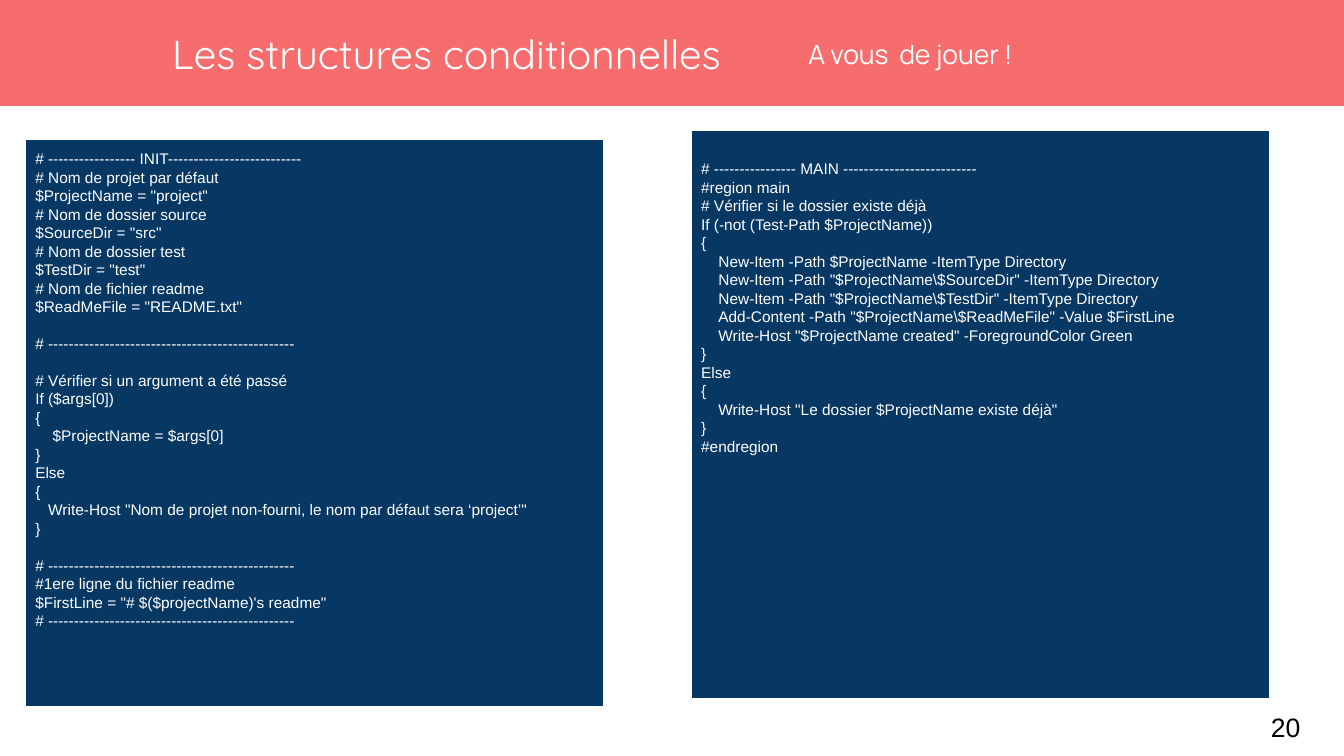
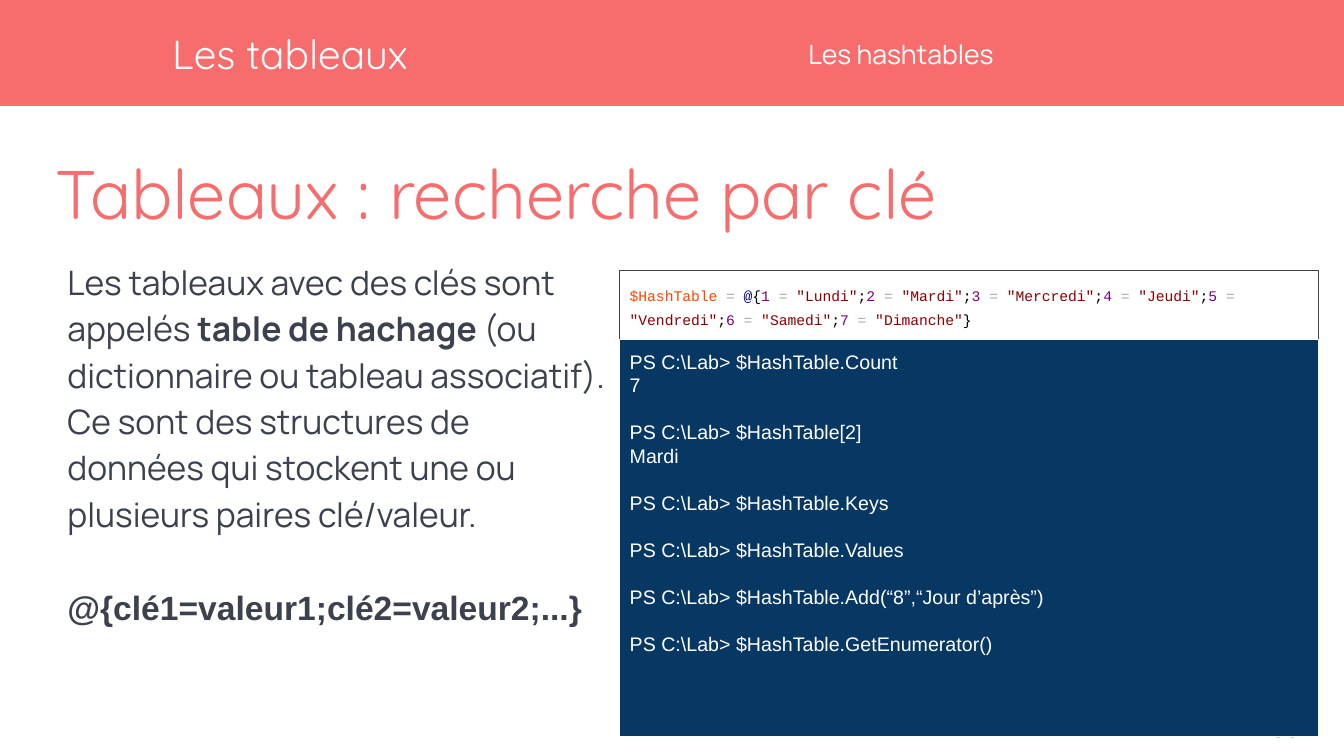
from dataclasses import dataclass
from pptx import Presentation
from pptx.dml.color import RGBColor
from pptx.enum.shapes import MSO_SHAPE
from pptx.enum.text import MSO_ANCHOR, PP_ALIGN
from pptx.util import Cm, Pt


@dataclass(frozen=True)
class Theme:
    coral: str = "F76C6C"
    navy: str = "073763"
    white: str = "FFFFFF"
    black: str = "000000"
    slate: str = "3B424E"
    border: str = "424242"
    variable: str = "FF4500"
    operator: str = "A9A9A9"
    at_sign: str = "00008B"
    number: str = "800080"
    string: str = "8B0000"
    title_font: str = "Quicksand"
    body_font: str = "Manrope"
    code_font: str = "Arial"
    mono_font: str = "Courier New"
    title: float = 29
    subtitle: float = 19
    heading: float = 49
    body: float = 24
    script: float = 11
    console: float = 14
    mono: float = 10.5
    leading: float = 1.2


T = Theme()


def add_box(s, place, fill=None, line=None, inset=0, anchor=MSO_ANCHOR.TOP):
    place = [Cm(v) for v in place]
    if fill:
        sp = s.shapes.add_shape(MSO_SHAPE.RECTANGLE, *place)
        sp.shadow.inherit = False
        sp.fill.solid()
        sp.fill.fore_color.rgb = RGBColor.from_string(fill)
        if line:
            sp.line.color.rgb = RGBColor.from_string(line)
            sp.line.width = Pt(0.75)
        else:
            sp.line.fill.background()
    else:
        sp = s.shapes.add_textbox(*place)
    tf = sp.text_frame
    tf.word_wrap = True
    tf.vertical_anchor = anchor
    tf.margin_left = tf.margin_right = tf.margin_top = tf.margin_bottom = Cm(inset)
    return tf


def add_par(tf, runs, size, font, color, spacing=None, before=0, indent=0):
    p = tf.paragraphs[0]
    if p.runs:
        p = tf.add_paragraph()
    p.alignment = PP_ALIGN.LEFT
    if spacing:
        p.line_spacing = Pt(size * T.leading * spacing)
    if before:
        p.space_before = Pt(before)
    if indent:
        p._p.get_or_add_pPr().set("marL", str(Pt(indent)))
    for text, style in runs:
        r = p.add_run()
        r.text = text
        r.font.size = Pt(size)
        r.font.name = style.get("font", font)
        r.font.bold = style.get("bold", False)
        r.font.color.rgb = RGBColor.from_string(style.get("color", color))


prs = Presentation()
prs.slide_width, prs.slide_height = Cm(33.87), Cm(19.05)

slides = []
for title, subtitle, number in [
    ("Les structures conditionnelles", "A vous  de jouer !", "20"),
    ("Les tableaux", "Les hashtables", "39"),
]:
    s = prs.slides.add_slide(prs.slide_layouts[6])
    slides.append(s)
    add_box(s, (-0.05, 0, 34.01, 2.67), T.coral)
    for text, place, size, font, color, inset in [
        (subtitle, (20.37, 0.71, 13, 1.32), T.subtitle, T.body_font, T.white, 0),
        (title, (4.34, 0, 15.88, 2.67), T.title, T.title_font, T.white, 0),
        (number, (31.7, 17.6, 2.03, 1.45), T.subtitle, T.code_font, T.black, 0.33),
    ]:
        tf = add_box(s, place, inset=inset, anchor=MSO_ANCHOR.MIDDLE)
        add_par(tf, [(text, {})], size, font, color)

conditions, tables = slides

tf = add_box(tables, (1.4, 3.81, 31.37, 1.96))
add_par(tf, [("Tableaux : recherche par clé", {})], T.heading, T.title_font, T.coral)

tf = add_box(tables, (1.7, 6.45, 13.72, 11.71))
for runs, gap in [
    ([("Les tableaux avec des clés sont appelés ", {}),
      ("table de hachage", {"bold": True}),
      (" (ou dictionnaire ou tableau associatif).", {})], 0),
    ([("Ce sont des structures de données qui stockent une ou plusieurs paires clé/valeur.", {})], 0),
    ([("@{clé1=valeur1;clé2=valeur2;...}", {"bold": True, "font": T.code_font})], 33.12),
]:
    add_par(tf, runs, T.body, T.body_font, T.slate, spacing=1.15, before=gap)

days = ["Lundi", "Mardi", "Mercredi", "Jeudi", "Vendredi", "Samedi", "Dimanche"]
equals = [(" ", {}), ("=", {"color": T.operator}), (" ", {})]
runs = [("$HashTable", {"color": T.variable}), *equals,
        ("@", {"color": T.at_sign}), ("{", {"color": T.black})]
for i, day in enumerate(days, 1):
    runs += [(str(i), {"color": T.number}), *equals,
             (f'"{day}"', {"color": T.string}),
             ("}" if i == len(days) else ";", {"color": T.black})]
tf = add_box(tables, (15.62, 6.81, 17.6, 1.75), T.white, T.border, 0.25)
add_par(tf, runs, T.mono, T.mono_font, T.black, spacing=1.36)

rule = "# " + "-" * 48

init_blocks = [
    ["# ----------------- INIT--------------------------",
     "# Nom de projet par défaut",
     '$ProjectName = "project"',
     "# Nom de dossier source",
     '$SourceDir = "src"',
     "# Nom de dossier test",
     '$TestDir = "test"',
     "# Nom de fichier readme",
     '$ReadMeFile = "README.txt"'],
    [rule],
    ["# Vérifier si un argument a été passé",
     "If ($args[0])",
     "{",
     (4, "$ProjectName = $args[0]"),
     "}",
     "Else",
     "{",
     (3, 'Write-Host "Nom de projet non-fourni, le nom par défaut sera ‘project’"'),
     "}"],
    [rule,
     "#1ere ligne du fichier readme",
     '$FirstLine = "# $($projectName)\'s readme"',
     rule],
]

main_blocks = [
    ["# ---------------- MAIN --------------------------",
     "#region main",
     "# Vérifier si le dossier existe déjà",
     "If (-not (Test-Path $ProjectName))",
     "{",
     (4, "New-Item -Path $ProjectName -ItemType Directory"),
     (4, 'New-Item -Path "$ProjectName\\$SourceDir" -ItemType Directory'),
     (4, 'New-Item -Path "$ProjectName\\$TestDir" -ItemType Directory'),
     (4, 'Add-Content -Path "$ProjectName\\$ReadMeFile" -Value $FirstLine'),
     (4, 'Write-Host "$ProjectName created" -ForegroundColor Green'),
     "}",
     "Else",
     "{",
     (4, 'Write-Host "Le dossier $ProjectName existe déjà"'),
     "}",
     "#endregion"],
]

prompt = "PS C:\\Lab> $HashTable"
console_blocks = [
    [prompt + ".Count", "7"],
    [prompt + "[2]", "Mardi"],
    [prompt + ".Keys"],
    [prompt + ".Values"],
    [prompt + ".Add(“8”,“Jour d’après”)"],
    [prompt + ".GetEnumerator()"],
]

for s, place, size, top, blocks in [
    (conditions, (0.64, 3.51, 14.58, 14.3), T.script, 0.25, init_blocks),
    (conditions, (17.42, 3.3, 14.58, 14.3), T.script, 0.72, main_blocks),
    (tables, (15.62, 8.56, 17.6, 10.01), T.console, 0.25, console_blocks),
]:
    tf = add_box(s, place, T.navy, T.white, 0.25)
    tf.margin_top = Cm(top)
    for b, block in enumerate(blocks):
        for n, row in enumerate(block):
            spaces, text = row if isinstance(row, tuple) else (0, row)
            gap = size * T.leading if b and not n else 0
            add_par(tf, [(text, {})], size, T.code_font, T.white, spacing=1,
                    before=gap, indent=spaces * size * 0.28)

prs.save("out.pptx")
